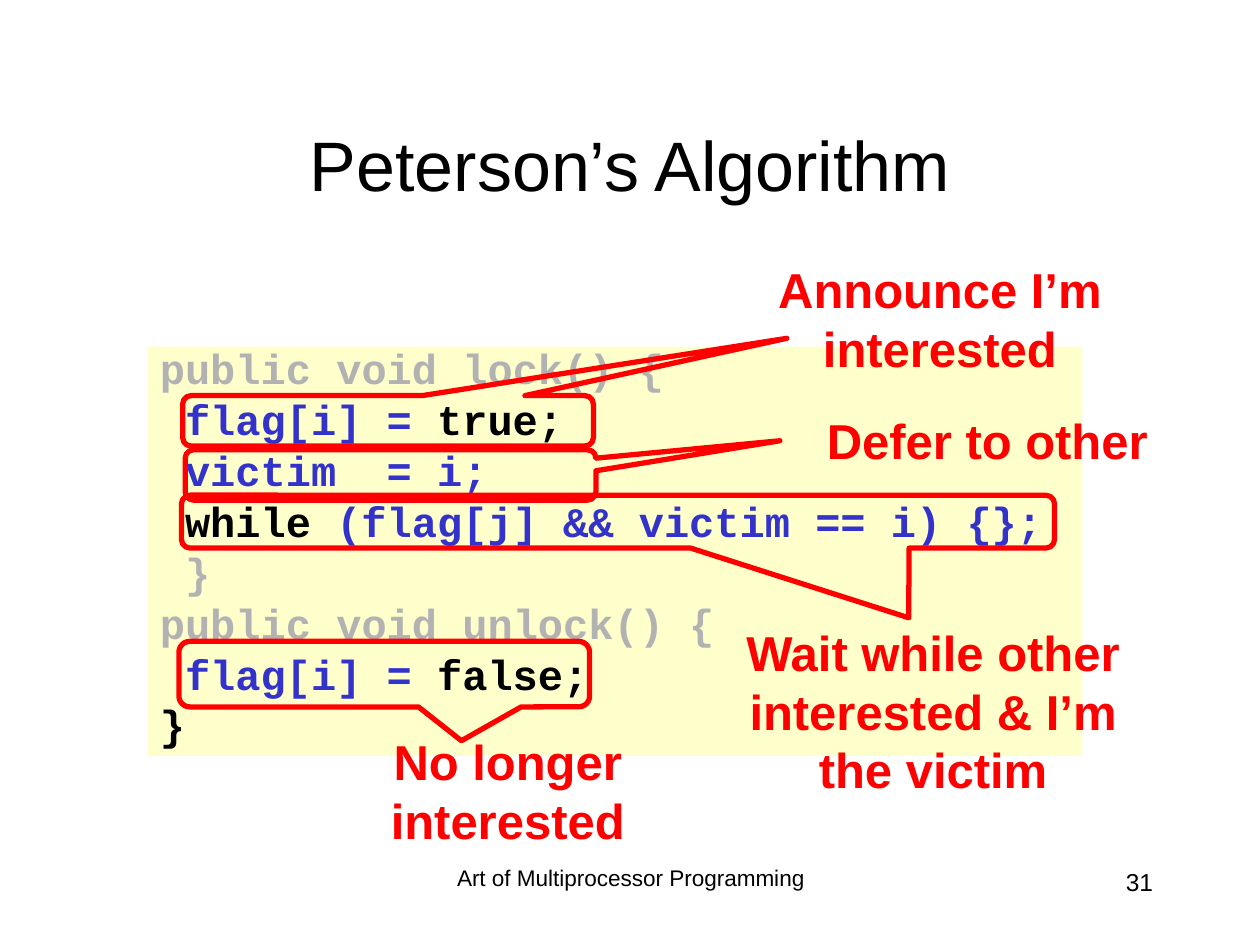
import pptx
import pptx.util
import pptx.dml.color
import pptx.enum.shapes
import pptx.enum.text

Inches, Pt = pptx.util.Inches, pptx.util.Pt
SHAPE = pptx.enum.shapes.MSO_SHAPE
ALIGN = pptx.enum.text.PP_ALIGN
ANCHOR = pptx.enum.text.MSO_ANCHOR

COLORS = {
    "text": "000000",
    "panel": "FFFFCC",
    "code": "3333CC",
    "faded": "B2B2B2",
    "accent": "FF0000",
}

# Each code line is a list of (text, color name) runs.
CODE = [
    [("public void lock() {", "faded")],
    [(" flag[i] =", "code"), (" true;", "text")],
    [(" victim  = i;", "code")],
    [(" while ", "text"), ("(flag[j] && victim == i) {};", "code")],
    [(" }", "faded")],
    [("public void unlock() {", "faded")],
    [(" flag[i] =", "code"), (" false;", "text")],
    [("}", "text")],
]

# Box of the callout, its pointer adjustments, its label, box of the label.
NOTES = [
    ((1.45, 3.14, 3.26, 0.4), (0.971, -1.637),
     "Announce I’m interested", (5.98, 2.01, 2.96, 1.04)),
    ((1.47, 3.57, 3.26, 0.4), (0.948, -0.68),
     "Defer to other", (6.14, 3.21, 3.39, 0.57)),
    ((1.42, 5.09, 3.26, 0.52), (0.188, 1.017),
     "No longer interested", (2.55, 5.76, 2.96, 1.04)),
    ((1.44, 3.93, 6.93, 0.42), (0.333, 1.817),
     "Wait while other interested & I’m the victim", (5.53, 4.89, 3.75, 1.5)),
]


def rgb(name):
    return pptx.dml.color.RGBColor.from_string(COLORS[name])


def inches(box):
    return [Inches(length) for length in box]


def add_text(slide, box, text, size, color="text", bold=False,
             align=ALIGN.CENTER, anchor=ANCHOR.TOP, line_spacing=1.0):
    frame = slide.shapes.add_textbox(*inches(box)).text_frame
    frame.word_wrap = True
    frame.vertical_anchor = anchor
    paragraph = frame.paragraphs[0]
    paragraph.text = text
    paragraph.alignment = align
    paragraph.line_spacing = line_spacing
    font = paragraph.font
    font.name, font.size, font.bold = "Arial", Pt(size), bold
    font.color.rgb = rgb(color)


def add_code_panel(slide, box):
    panel = slide.shapes.add_shape(SHAPE.RECTANGLE, *inches(box))
    panel.shadow.inherit = False
    panel.fill.solid()
    panel.fill.fore_color.rgb = rgb("panel")
    panel.line.fill.background()
    frame = panel.text_frame
    frame.word_wrap = True
    frame.vertical_anchor = ANCHOR.TOP
    frame.margin_top = Inches(0.05)
    for index, runs in enumerate(CODE):
        paragraph = frame.paragraphs[0] if index == 0 else frame.add_paragraph()
        paragraph.alignment = ALIGN.LEFT
        paragraph.line_spacing = 0.8
        paragraph.space_before = Pt(6 if index else 0)
        font = paragraph.font
        font.name, font.size, font.bold = "Courier New", Pt(24), True
        for text, color in runs:
            run = paragraph.add_run()
            run.text = text
            run.font.color.rgb = rgb(color)


def add_callout(slide, box, pointer):
    callout = slide.shapes.add_shape(SHAPE.ROUNDED_RECTANGULAR_CALLOUT, *inches(box))
    callout.shadow.inherit = False
    callout.adjustments[0], callout.adjustments[1] = pointer
    callout.fill.background()
    callout.line.color.rgb = rgb("accent")
    callout.line.width = Pt(3)


def add_footer(slide, top, height):
    add_text(slide, (3.42, top, 3.17, height),
             "Art of Multiprocessor Programming", 12.9, line_spacing=0.9)
    add_text(slide, (7.17, top, 2.08, height), "31", 14, align=ALIGN.RIGHT)


def main():
    presentation = pptx.Presentation()
    presentation.slide_width, presentation.slide_height = Inches(10), Inches(7.5)
    slide = presentation.slides.add_slide(presentation.slide_layouts[6])
    add_footer(slide, 6.83, 0.5)
    add_text(slide, (0.75, 0.67, 8.5, 1.25), "Peterson’s Algorithm", 40,
             anchor=ANCHOR.MIDDLE)
    add_code_panel(slide, (1.17, 2.75, 7.42, 3.25))
    for callout_box, pointer, label, label_box in NOTES:
        add_callout(slide, callout_box, pointer)
        add_text(slide, label_box, label, 28, "accent", bold=True)
    presentation.save("out.pptx")


if __name__ == "__main__":
    main()
